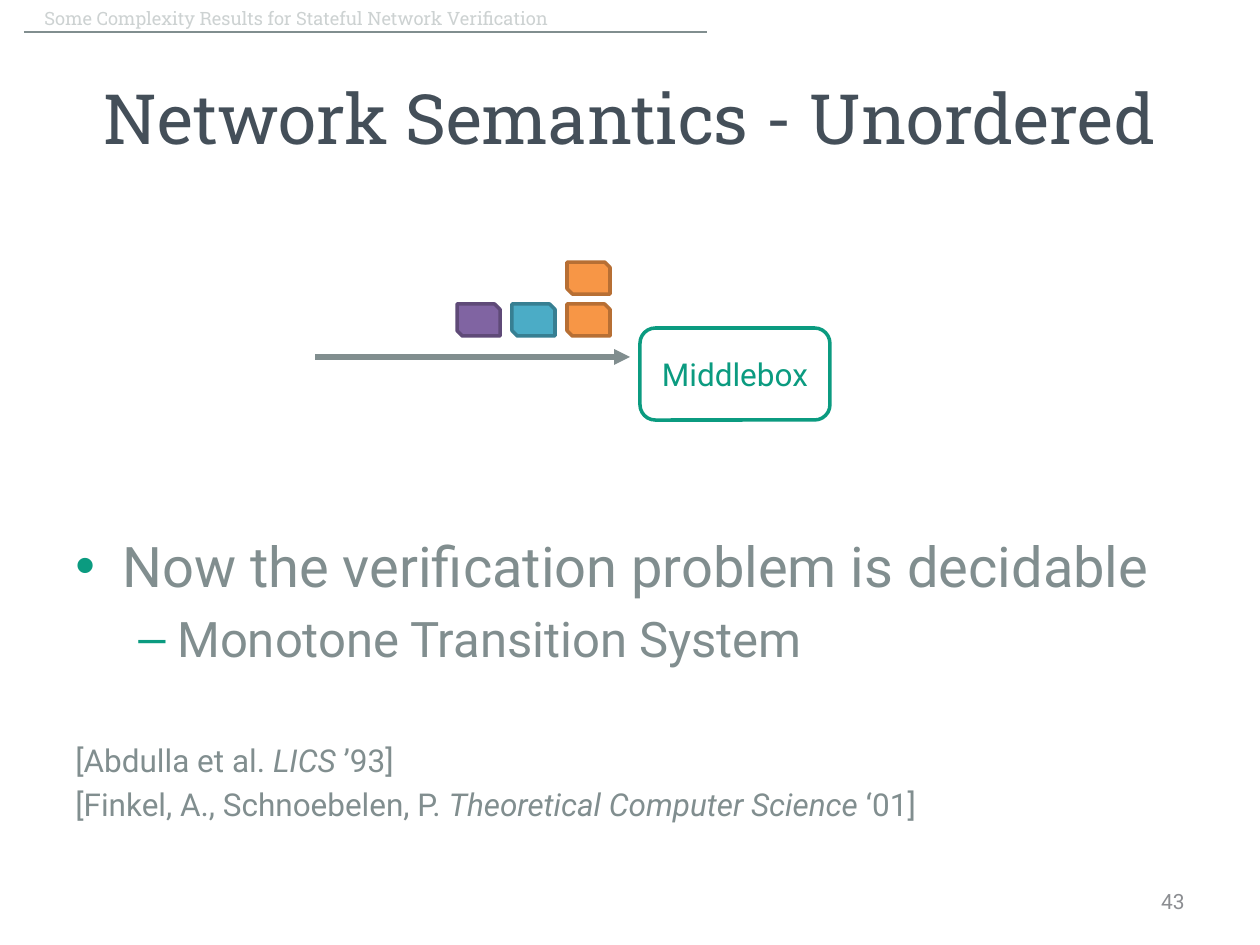
import pptx
import pptx.util
import pptx.dml.color
import pptx.enum.shapes
import pptx.enum.text
import pptx.oxml.ns
from lxml import etree

SCALE = 914400 / 126  # EMU in one px
SHAPES = pptx.enum.shapes.MSO_SHAPE
ALIGN = pptx.enum.text.PP_ALIGN
ANCHOR = pptx.enum.text.MSO_ANCHOR

BODY_FONT, TITLE_FONT = "Roboto", "Roboto Slab"
GREEN, GREY = "0B9B80", "818E8F"
ORANGE = ("F79646", "B76F34")
TEAL = ("4BACC6", "377F92")
PURPLE = ("8064A2", "5F4A78")


def px(length):
    return pptx.util.Emu(round(length * SCALE))


def color(value):
    return pptx.dml.color.RGBColor.from_string(value)


def add_xml(parent, tag, **attributes):
    return etree.SubElement(parent, pptx.oxml.ns.qn(tag), attributes)


def style_span(span, size, ink, font=BODY_FONT):
    span.font.size = pptx.util.Pt(size)
    span.font.name = font
    span.font.color.rgb = color(ink)


def add_label(page, place, text, size, ink, font=BODY_FONT, align=ALIGN.LEFT):
    box = page.shapes.add_textbox(*map(px, place))
    frame = box.text_frame
    frame.word_wrap = True
    frame.vertical_anchor = ANCHOR.MIDDLE
    frame.text = text
    para = frame.paragraphs[0]
    para.alignment = align
    style_span(para.runs[0], size, ink, font)


def add_box(page, preset, place, fill, line):
    box = page.shapes.add_shape(preset, *map(px, place))
    box.shadow.inherit = False
    if fill:
        box.fill.solid()
        box.fill.fore_color.rgb = color(fill)
    else:
        box.fill.background()
    box.line.color.rgb = color(line)
    box.line.width = pptx.util.Pt(2)
    return box


def add_rule(page, left, right, y, width, arrow=False):
    rule = page.shapes.add_connector(
        pptx.enum.shapes.MSO_CONNECTOR.STRAIGHT, px(left), px(y), px(right), px(y))
    rule.line.color.rgb = color(GREY)
    rule.line.width = pptx.util.Pt(width)
    if arrow:
        add_xml(rule.line._get_or_add_ln(), "a:tailEnd", type="triangle")
    add_xml(rule._element.spPr, "a:effectLst")


def add_para(frame, parts, size, space):
    """Add a paragraph whose every second part is italic."""
    para = frame.paragraphs[0]
    if para.runs:
        para = frame.add_paragraph()
    para.space_before = pptx.util.Pt(space)
    for index, part in enumerate(parts):
        span = para.add_run()
        span.text = part
        style_span(span, size, GREY)
        if index % 2:
            span.font.italic = True
    return para


def set_bullet(para, mark, margin, hanging):
    props = para._element.get_or_add_pPr()
    props.set("marL", str(px(margin)))
    props.set("indent", str(-px(hanging)))
    add_xml(add_xml(props, "a:buClr"), "a:srgbClr", val=GREEN)
    add_xml(props, "a:buFont", typeface="Arial")
    add_xml(props, "a:buChar", char=mark)


def add_body(page):
    frame = page.shapes.add_textbox(*map(px, (63, 525, 1134, 319))).text_frame
    frame.word_wrap = True
    claim = add_para(frame, ["Now the verification problem is decidable"], 32, 6.4)
    set_bullet(claim, "•", 47, 47)
    reason = add_para(frame, ["Monotone Transition System"], 28, 5.6)
    set_bullet(reason, "–", 102, 39)
    # The wide space sets the references apart
    add_para(frame, ["[Abdulla et al. ", "LICS ", "’93]"], 18, 42)
    add_para(frame, ["[Finkel, A., Schnoebelen, P. ", "Theoretical Computer Science ", "‘01]"],
             18, 3.6)


def add_packets(page):
    left, top, column_step, row_step = 457, 304, 55, 42
    for column, row, (fill, line) in [(1, 0, TEAL), (0, 0, PURPLE),
                                      (2, 1, ORANGE), (2, 0, ORANGE)]:
        place = (left + column * column_step, top - row * row_step, 43, 32)
        add_box(page, SHAPES.SNIP_2_DIAG_RECTANGLE, place, fill, line)


def add_middlebox(page):
    box = add_box(page, SHAPES.ROUNDED_RECTANGLE, (640, 328, 190, 92), None, GREEN)
    frame = box.text_frame
    frame.text = "Middlebox"
    frame.vertical_anchor = ANCHOR.MIDDLE
    frame.paragraphs[0].alignment = ALIGN.CENTER
    style_span(frame.paragraphs[0].runs[0], 18, GREEN)


def main():
    deck = pptx.Presentation()
    deck.slide_width, deck.slide_height = px(1260), px(945)
    page = deck.slides.add_slide(deck.slide_layouts[6])

    # Running header, title and page number
    add_label(page, (32, 8, 615, 21), "Some Complexity Results for Stateful Network Veriﬁcation",
              10.5, "CDD2D2", TITLE_FONT)
    add_rule(page, 24, 707, 32, 0.75)
    add_label(page, (63, 38, 1134, 157), "Network Semantics - Unordered",
              39.6, "444F59", TITLE_FONT, ALIGN.CENTER)
    add_label(page, (903, 876, 294, 50), "43", 12, "8C8E92", align=ALIGN.RIGHT)

    # Packets on their way to the middlebox
    add_middlebox(page)
    add_rule(page, 315, 630, 357, 3, arrow=True)
    add_packets(page)

    # Claim and references
    add_body(page)

    deck.save("out.pptx")


if __name__ == "__main__":
    main()
